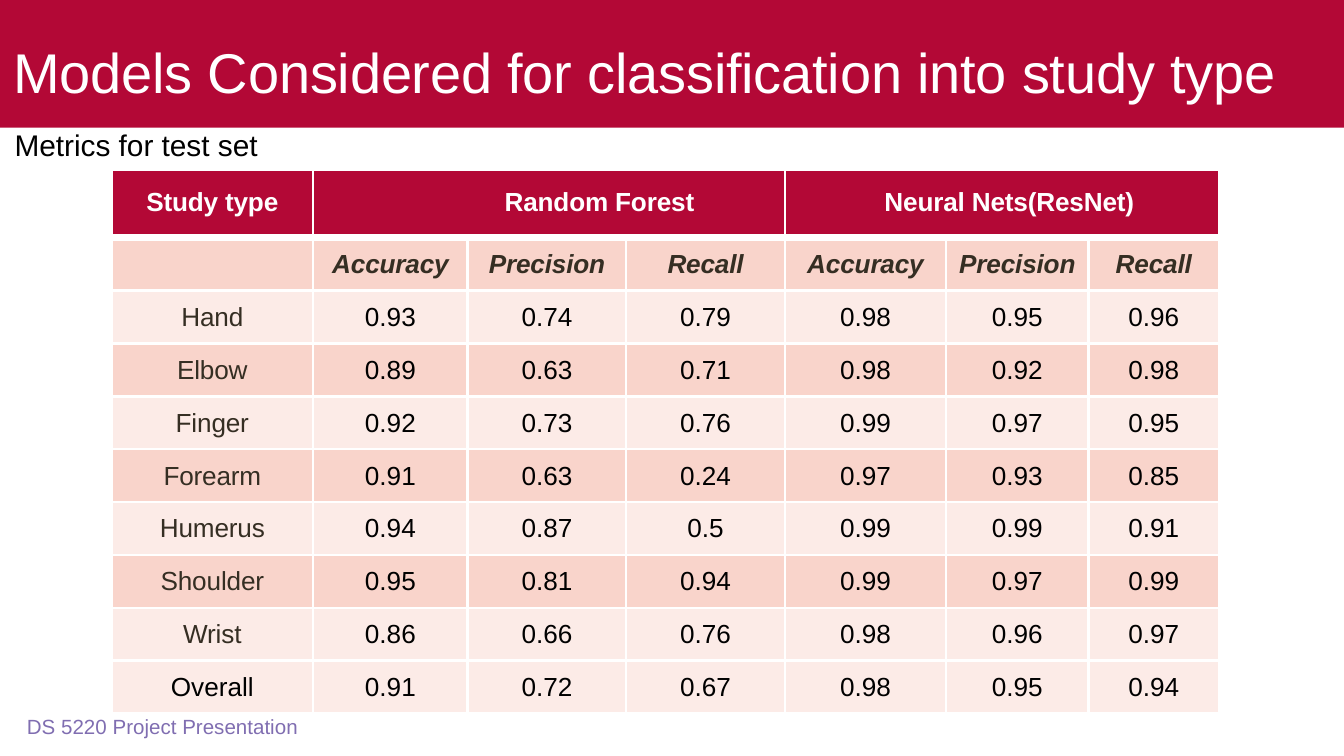
from dataclasses import dataclass

from lxml import etree
from pptx import Presentation
from pptx.dml.color import RGBColor
from pptx.enum.shapes import MSO_SHAPE
from pptx.enum.text import MSO_ANCHOR, MSO_AUTO_SIZE, PP_ALIGN
from pptx.oxml.ns import qn
from pptx.util import Inches, Pt

LEFT, CENTER = PP_ALIGN.LEFT, PP_ALIGN.CENTER
TOP = MSO_ANCHOR.TOP
GROW = MSO_AUTO_SIZE.SHAPE_TO_FIT_TEXT
RECT = MSO_SHAPE.RECTANGLE


@dataclass(frozen=True)
class Theme:
    font: str = "Arial"
    red: str = "B30836"
    white: str = "FFFFFF"
    black: str = "000000"
    brown: str = "352E23"
    violet: str = "806EB1"
    dark: str = "F9D4CB"
    light: str = "FCEBE7"
    title: float = 30
    label: float = 16
    cell: float = 14
    foot: float = 11
    thin: float = 1.5
    thick: float = 4.25


THEME = Theme()

WIDTH = 10
HEIGHT = WIDTH * 9 / 16
COLS = [1.5, 1.15, 1.18, 1.18, 1.2, 1.06, 0.97]
HEAD = 0.51
GROUPS = [("Study type", 0, 0, 0), ("Random Forest", 1, 3, 0.75),
          ("Neural Nets(ResNet)", 4, 6, 0.11)]
METRICS = ["Accuracy", "Precision", "Recall"]
SCORES = [
    ("Hand", "0.93", "0.74", "0.79", "0.98", "0.95", "0.96"),
    ("Elbow", "0.89", "0.63", "0.71", "0.98", "0.92", "0.98"),
    ("Finger", "0.92", "0.73", "0.76", "0.99", "0.97", "0.95"),
    ("Forearm", "0.91", "0.63", "0.24", "0.97", "0.93", "0.85"),
    ("Humerus", "0.94", "0.87", "0.5", "0.99", "0.99", "0.91"),
    ("Shoulder", "0.95", "0.81", "0.94", "0.99", "0.97", "0.99"),
    ("Wrist", "0.86", "0.66", "0.76", "0.98", "0.96", "0.97"),
    ("Overall", "0.91", "0.72", "0.67", "0.98", "0.95", "0.94"),
]


def color(code):
    return RGBColor.from_string(code)


def write(frame, text, size, ink, bold=False, italic=False, align=LEFT,
          indent=0, before=0, line=None, track=0):
    para = frame.paragraphs[0]
    para.alignment = align
    para.space_before = Pt(before)
    if line:
        para.line_spacing = Pt(line)
    props = para._p.get_or_add_pPr()
    props.set("marL", str(Inches(indent)))
    props.set("indent", "0")
    run = para.add_run()
    run.text = text
    font = run.font
    font.name, font.size = THEME.font, Pt(size)
    font.bold, font.italic = bold, italic
    font.color.rgb = color(ink)
    if track:
        run._r.get_or_add_rPr().set("spc", str(round(track * 100)))


def inset(item, left=0, top=0, right=0, bottom=0):
    item.margin_left, item.margin_top = Inches(left), Inches(top)
    item.margin_right, item.margin_bottom = Inches(right), Inches(bottom)


def add_label(slide, box, text, margins, **style):
    frame = slide.shapes.add_textbox(*map(Inches, box)).text_frame
    frame.word_wrap = True
    frame.auto_size = GROW
    inset(frame, *margins)
    write(frame, text, **style)


def add_header(slide, box, text):
    left, top, width, height = box
    band = slide.shapes.add_shape(RECT, *map(Inches, box))
    band.shadow.inherit = False
    band.fill.solid()
    band.fill.fore_color.rgb = color(THEME.red)
    band.line.fill.background()
    title = slide.shapes.title
    title.element.addprevious(band.element)
    title.left, title.top = Inches(left + 0.09), Inches(top + 0.27)
    title.width, title.height = Inches(width - 0.34), Inches(height - 0.43)
    frame = title.text_frame
    frame.word_wrap = True
    frame.auto_size = GROW
    frame.vertical_anchor = TOP
    inset(frame, top=0.01)
    write(frame, text, THEME.title, THEME.white, indent=0.01, before=1,
          track=-0.1)


def paint(cell, fill, row):
    """Fill a cell and draw its borders, thick under the heading row."""
    cell.fill.solid()
    cell.fill.fore_color.rgb = color(fill)
    props = cell._tc.get_or_add_tcPr()
    for spot, side in enumerate("LRTB"):
        thick = (row, side) in ((0, "B"), (1, "T"))
        width = THEME.thick if thick else THEME.thin
        edge = etree.Element(qn(f"a:ln{side}"), w=str(Pt(width)))
        solid = etree.SubElement(edge, qn("a:solidFill"))
        etree.SubElement(solid, qn("a:srgbClr"), val=THEME.white)
        props.insert(spot, edge)


def fill_cell(cell, text, top, **style):
    cell.vertical_anchor = TOP
    inset(cell, top=top)
    if text:
        write(cell.text_frame, text, THEME.cell, align=CENTER, **style)


def add_scores(slide, box):
    rows = [("",) + tuple(METRICS * 2)] + SCORES
    count = len(rows)
    grid = slide.shapes.add_table(count + 1, len(COLS),
                                  *map(Inches, box)).table
    grid.first_row = grid.horz_banding = False
    for col, width in zip(grid.columns, COLS):
        col.width = Inches(width)
    for row in grid.rows:
        row.height = Inches((box[3] - HEAD) / count)
    grid.rows[0].height = Inches(HEAD)

    for col in range(len(COLS)):
        paint(grid.cell(0, col), THEME.red, 0)
    for text, start, end, indent in GROUPS:
        cell = grid.cell(0, start)
        if end > start:
            cell.merge(grid.cell(0, end))
        fill_cell(cell, text, 0.14, ink=THEME.white, bold=True,
                  indent=indent, before=10.4, track=-0.1)

    for r, row in enumerate(rows, 1):
        last = r == count
        fill = THEME.dark if r % 2 and not last else THEME.light
        for c, text in enumerate(row):
            cell = grid.cell(r, c)
            name = r == 1 or (c == 0 and not last)
            paint(cell, fill, r)
            fill_cell(cell, text, 0.09, bold=r == 1, italic=r == 1,
                      ink=THEME.brown if name else THEME.black,
                      before=6.2, track=-0.1 if name else 0)


def main():
    deck = Presentation()
    deck.slide_width, deck.slide_height = Inches(WIDTH), Inches(HEIGHT)
    slide = deck.slides.add_slide(deck.slide_layouts[5])
    add_header(slide, (0, 0, WIDTH, 0.95),
               "Models Considered for classification into study type")
    add_label(slide, (0.19, 5.31, 2.04, 0.18), "DS 5220 Project Presentation",
              (0, 0, 0, 0), size=THEME.foot, ink=THEME.violet,
              indent=0.01, line=13.2)
    add_scores(slide, (0.83, 1.26, sum(COLS), 4.05))
    add_label(slide, (0.01, 0.89, 2.22, 0.37), "Metrics for test set",
              (0.1, 0.05, 0.1, 0.05), size=THEME.label, ink=THEME.black)
    deck.save("out.pptx")


if __name__ == "__main__":
    main()
